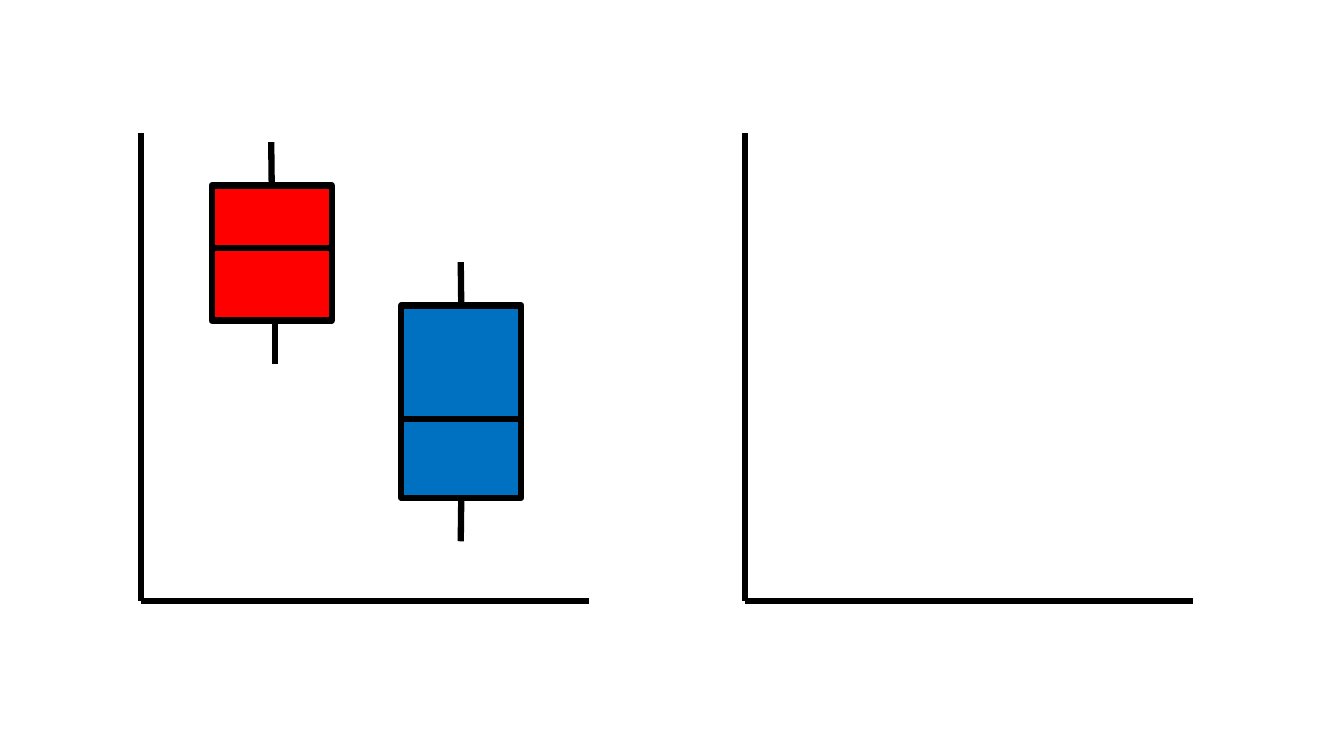
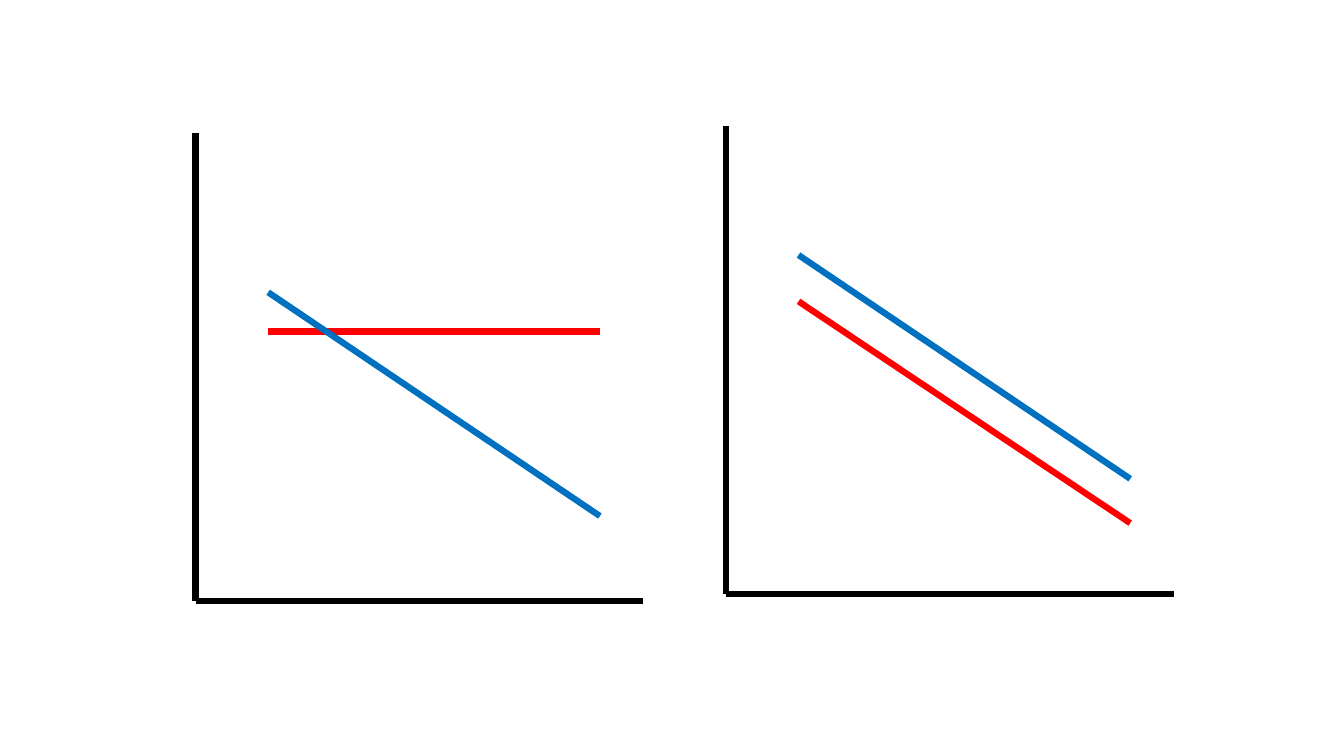
from lxml.etree import SubElement
from pptx import Presentation
from pptx.dml.color import RGBColor
from pptx.enum.shapes import MSO_CONNECTOR, MSO_SHAPE
from pptx.oxml.ns import qn
from pptx.util import Pt

PX = 9144  # EMU, 100 px to the inch
BLACK = RGBColor(0x00, 0x00, 0x00)
RED = RGBColor(0xFF, 0x00, 0x00)
BLUE = RGBColor(0x00, 0x70, 0xC0)
TOP, BOTTOM = 0, 2


class Sketch:
    """Draws charts as groups of thick lines and boxes on the current slide."""
    stroke = Pt(4.5)
    axis_w, axis_h = 444, 464
    whisker = 43

    def __init__(self):
        self.prs = Presentation()
        self.prs.slide_width, self.prs.slide_height = 1333 * PX, 750 * PX

    def new_slide(self):
        self.s = self.prs.slides.add_slide(self.prs.slide_layouts[6])

    def line(self, x1, y1, x2, y2, color=BLACK):
        sp = self.chart.shapes.add_connector(
            MSO_CONNECTOR.STRAIGHT, x1 * PX, y1 * PX, x2 * PX, y2 * PX)
        self.outline(sp, color)
        SubElement(sp._element.spPr, qn("a:effectLst"))
        return sp

    def outline(self, sp, color):
        sp.line.color.rgb = color
        sp.line.width = self.stroke

    def axes(self, x, y):
        """Start a new chart whose axes meet at (x, y)."""
        self.chart = self.s.shapes.add_group_shape()
        self.line(x, y - self.axis_h, x, y)
        self.line(x + self.axis_w, y, x, y)

    def box(self, x, y, w, h, median, color, lower_shift=0):
        """Draw a box plot; lower_shift moves its lower whisker off centre."""
        sp = self.chart.shapes.add_shape(
            MSO_SHAPE.RECTANGLE, x * PX, y * PX, w * PX, h * PX)
        sp.shadow.inherit = False
        sp.fill.solid()
        sp.fill.fore_color.rgb = color
        self.outline(sp, BLACK)
        self.line(x, median, x + w, median)

        mid, bottom = x + w // 2, y + h
        self.line(mid, y, mid, y - self.whisker).begin_connect(sp, TOP)
        mid += lower_shift
        lower = self.line(mid, bottom + self.whisker, mid, bottom)
        if not lower_shift:
            lower.end_connect(sp, BOTTOM)


def box_plots(sketch):
    sketch.new_slide()
    sketch.axes(140, 596)
    sketch.box(210, 184, 119, 134, median=246, color=RED, lower_shift=4)
    sketch.box(398, 303, 119, 191, median=416, color=BLUE)
    sketch.axes(739, 596)


def trend_lines(sketch):
    """Each chart: origin, then start and end heights of the red and blue lines."""
    sketch.new_slide()
    charts = [
        (194, 596, (329, 329), (290, 512)),
        (720, 589, (299, 519), (253, 475)),
    ]
    for x, y, red, blue in charts:
        sketch.axes(x, y)
        for (start, end), color in ((red, RED), (blue, BLUE)):
            sketch.line(x + 72, start, x + 401, end, color)


def main():
    sketch = Sketch()
    box_plots(sketch)
    trend_lines(sketch)
    sketch.prs.save("out.pptx")


if __name__ == "__main__":
    main()
